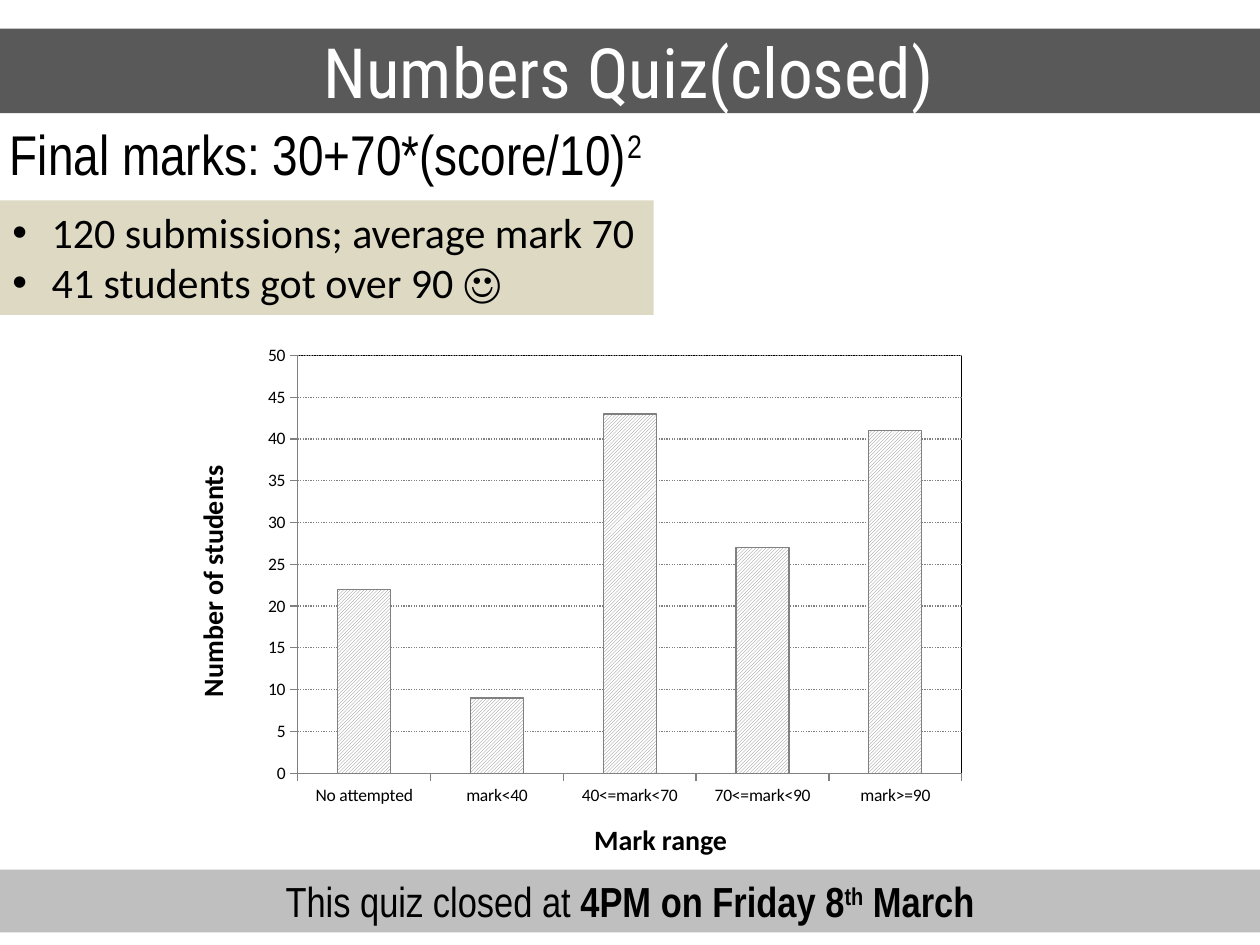
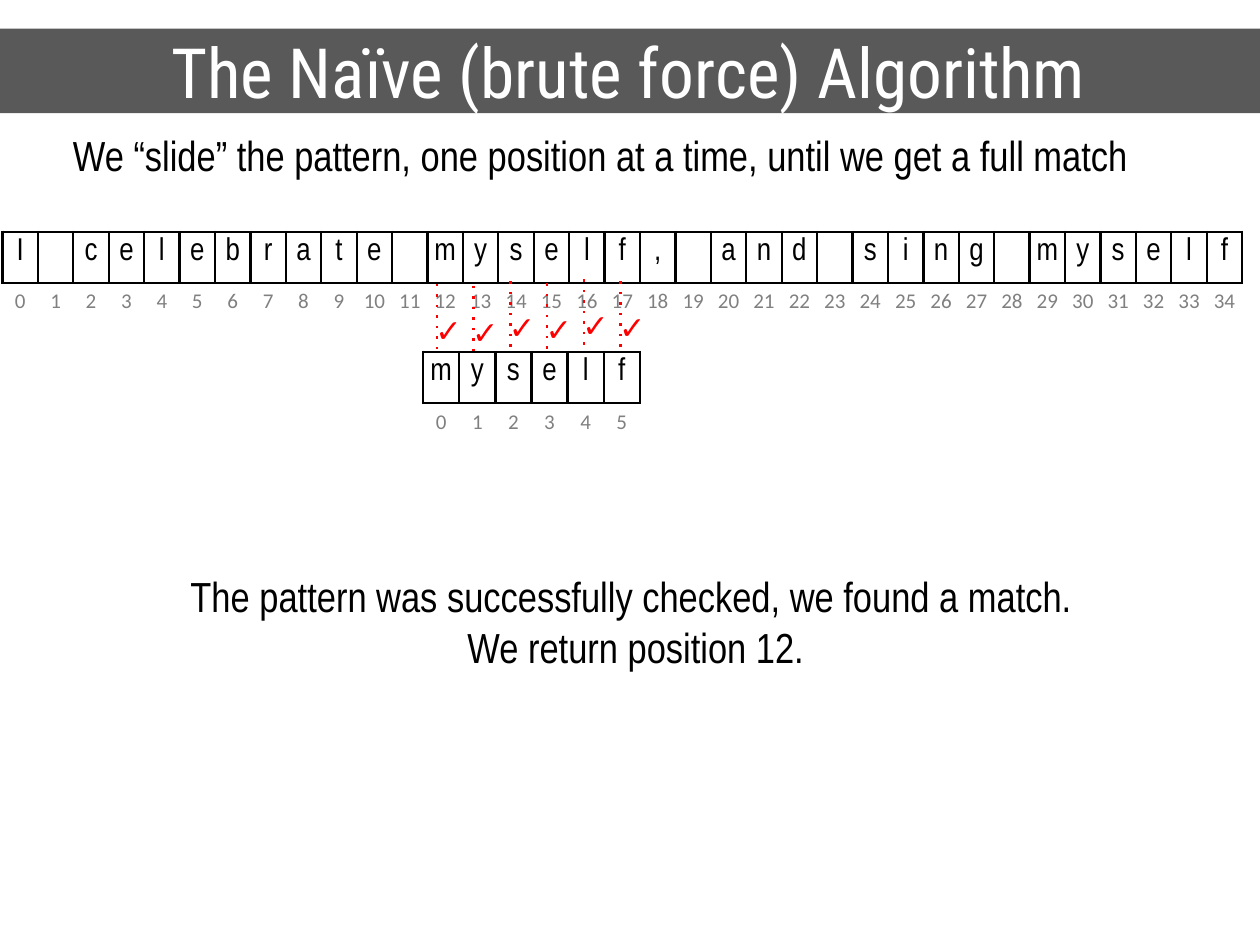
from lxml import etree
from pptx import Presentation
from pptx import util as u
from pptx.chart import data as chart_data
from pptx.dml.color import RGBColor
from pptx.enum import chart as charts, dml, shapes, text
from pptx.oxml import ns

COLOURS = {
    "title band": "595959",
    "facts": "DDD9C3",
    "footer": "BFBFBF",
    "ink": "000000",
    "paper": "FFFFFF",
    "muted": "808080",
    "match": "FF0000",
}
HEADING, NARROW, BODY, SYMBOL = "Roboto Condensed", "Arial Narrow", "Calibri", "Arial"
SLIDE_WIDTH, SLIDE_HEIGHT = 25.4, 19.05
CENTER, LEFT = text.PP_ALIGN.CENTER, text.PP_ALIGN.LEFT


def rgb(name):
    return RGBColor.from_string(COLOURS[name])


def add_xml(parent, tag, **attributes):
    return etree.SubElement(parent, ns.qn(tag), attributes)


class Deck:
    """Holds the style and the current slide; lengths are centimetres."""

    def __init__(self):
        self.prs = Presentation()
        self.prs.slide_width = u.Cm(SLIDE_WIDTH)
        self.prs.slide_height = u.Cm(SLIDE_HEIGHT)
        self.slide = None

    def new_slide(self, title):
        self.slide = self.prs.slides.add_slide(self.prs.slide_layouts[6])
        self.band(-0.05, 0.58, SLIDE_WIDTH + 0.05, 1.7, "title band", [[title]], 39.6,
                  HEADING, "paper", CENTER, anchor=text.MSO_ANCHOR.MIDDLE)

    def style(self, font, size, face, colour, bold=False):
        font.size, font.name, font.bold = u.Pt(size), face, bold
        font.color.rgb = rgb(colour)

    def add_text(self, frame, paragraphs, size, face, colour="ink", align=LEFT,
                 wrap=True, bold=False, bullet=None, anchor=text.MSO_ANCHOR.TOP):
        """Each paragraph lists runs: a string, or (string, bold, superscript)."""
        frame.word_wrap = wrap
        frame.vertical_anchor = anchor
        for index, runs in enumerate(paragraphs):
            paragraph = frame.paragraphs[0] if index == 0 else frame.add_paragraph()
            paragraph.alignment = align
            if bullet:
                properties = paragraph._p.get_or_add_pPr()
                properties.set("marL", str(u.Cm(0.79)))
                properties.set("indent", str(-u.Cm(0.79)))
                add_xml(properties, "a:buFont", typeface=SYMBOL)
                add_xml(properties, "a:buChar", char=bullet)
            for part in runs:
                words, strong, raised = (part, bold, False) if isinstance(part, str) else part
                run = paragraph.add_run()
                run.text = words
                self.style(run.font, size, face, colour, strong)
                if raised:
                    run.font._element.set("baseline", "30000")

    def band(self, left, top, width, height, fill, *words, **options):
        band = self.slide.shapes.add_shape(
            shapes.MSO_SHAPE.RECTANGLE, u.Cm(left), u.Cm(top), u.Cm(width), u.Cm(height))
        band.shadow.inherit = False
        band.fill.solid()
        band.fill.fore_color.rgb = rgb(fill)
        band.line.fill.background()
        self.add_text(band.text_frame, *words, **options)

    def label(self, left, top, width, height, *words, rotation=0, **options):
        label = self.slide.shapes.add_textbox(
            u.Cm(left), u.Cm(top), u.Cm(width), u.Cm(height))
        label.rotation = rotation
        self.add_text(label.text_frame, *words, **options)

    def dotted_line(self, x, top, bottom):
        connector = self.slide.shapes.add_connector(
            shapes.MSO_CONNECTOR.STRAIGHT, u.Cm(x), u.Cm(top), u.Cm(x), u.Cm(bottom))
        connector.line.color.rgb = rgb("match")
        connector.line.width = u.Pt(1.5)
        properties = connector._element.spPr
        add_xml(properties.find(ns.qn("a:ln")), "a:prstDash", val="dot")
        add_xml(properties, "a:effectLst")

    def cell_borders(self, cell, drawn):
        """Draw the sides named in drawn (of L, R, T, B) and hide the others."""
        properties = cell._tc.get_or_add_tcPr()
        for position, side in enumerate("LRTB"):
            line = etree.Element(ns.qn(f"a:ln{side}"), w=str(u.Pt(1.5)))
            if side in drawn:
                fill = add_xml(line, "a:solidFill")
                add_xml(fill, "a:srgbClr", val=COLOURS["ink"])
            else:
                add_xml(line, "a:noFill")
            properties.insert(position, line)

    def indexed_letters(self, left, top, width, letters):
        """Boxed letters with their positions numbered underneath."""
        row_height = u.Cm(1.03)
        table = self.slide.shapes.add_table(
            2, len(letters), u.Cm(left), u.Cm(top), u.Cm(width), 2 * row_height).table
        table.first_row = table.horz_banding = False
        for row in table.rows:
            row.height = row_height
        for index, letter in enumerate(letters):
            table.columns[index].width = u.Cm(width / len(letters))
            rows = ((letter.strip(), 18, NARROW, "ink", "LRTB"),
                    (str(index), 12, BODY, "muted", "T"))
            for row, (words, size, face, colour, sides) in enumerate(rows):
                cell = table.cell(row, index)
                cell.margin_left = cell.margin_right = u.Cm(0.1)
                cell.fill.background()
                self.cell_borders(cell, sides)
                if words:
                    self.add_text(cell.text_frame, [[words]], size, face, colour, CENTER)

    def column_chart(self, left, top, width, height, categories, values):
        data = chart_data.CategoryChartData()
        data.categories = categories
        data.add_series("Series 1", values)
        chart = self.slide.shapes.add_chart(
            charts.XL_CHART_TYPE.COLUMN_CLUSTERED, u.Cm(left), u.Cm(top),
            u.Cm(width), u.Cm(height), data).chart
        chart.has_legend = chart.has_title = False
        self.style(chart.font, 10, BODY, "ink")

        plot = chart.plots[0]
        plot.gap_width = 150
        plot.vary_by_categories = False
        columns = plot.series[0].format
        columns.fill.patterned()
        columns.fill.pattern = dml.MSO_PATTERN.LIGHT_UPWARD_DIAGONAL
        columns.fill.fore_color.rgb = rgb("muted")
        columns.fill.back_color.rgb = rgb("paper")

        marks = chart.value_axis
        marks.minimum_scale, marks.maximum_scale, marks.major_unit = 0, 50, 5
        marks.has_major_gridlines = True
        grid = marks.major_gridlines.format.line
        for line in (columns.line, grid, marks.format.line, chart.category_axis.format.line):
            line.color.rgb = rgb("muted")
            line.width = u.Pt(0.75)
        grid.dash_style = dml.MSO_LINE.ROUND_DOT
        for axis in (marks, chart.category_axis):
            axis.major_tick_mark = charts.XL_TICK_MARK.OUTSIDE
        self.frame_plot(chart)

    def frame_plot(self, chart):
        """Fix the inner plot area and outline it."""
        area = chart._chartSpace.chart.plotArea
        for layout in area.findall(ns.qn("c:layout")):
            area.remove(layout)
        layout = etree.Element(ns.qn("c:layout"))
        area.insert(0, layout)
        manual = add_xml(layout, "c:manualLayout")
        for tag, value in (("layoutTarget", "inner"), ("xMode", "edge"), ("yMode", "edge"),
                           ("x", "0.06"), ("y", "0.04"), ("w", "0.92"), ("h", "0.87")):
            add_xml(manual, f"c:{tag}", val=value)
        properties = add_xml(area, "c:spPr")
        add_xml(properties, "a:noFill")
        outline = add_xml(properties, "a:ln", w=str(u.Pt(0.75)))
        add_xml(add_xml(outline, "a:solidFill"), "a:srgbClr", val=COLOURS["ink"])


def quiz_results(deck):
    deck.new_slide("Numbers Quiz(closed)")
    deck.band(0, 4.04, 13.18, 2.31, "facts",
              [["120 submissions; average mark 70"], ["41 students got over 90 ☺"]],
              24, BODY, wrap=False, bullet="•")
    deck.band(0, 17.53, SLIDE_WIDTH, 1.27, "footer",
              [["This quiz closed at ", ("4PM on Friday 8", True, False),
                ("th", True, True), (" March", True, False)]],
              24, NARROW, align=CENTER)
    deck.label(1.65, 11.2, 5.26, 0.94, [["Number of students"]], 16, BODY,
               rotation=270, wrap=False, bold=True)
    deck.label(11.73, 16.46, 3.25, 0.94, [["Mark range"]], 16, BODY, wrap=False, bold=True)
    deck.label(-0.05, 2.29, 13.41, 1.62,
               [["Final marks: 30+70*(score/10)", ("2", False, True)]],
               32, NARROW, wrap=False)
    deck.column_chart(5.13, 6.78, 14.55, 9.68,
                      ["No attempted", "mark<40", "40<=mark<70", "70<=mark<90", "mark>=90"],
                      [22, 9, 43, 27, 41])


def naive_matching(deck):
    deck.new_slide("The Naïve (brute force) Algorithm")
    deck.indexed_letters(0.05, 4.67, 25, "I celebrate myself, and sing myself")
    deck.indexed_letters(8.53, 7.09, 4.37, "myself")
    deck.label(1.22, 2.49, 21.97, 1.27,
               [["We “slide” the pattern, one position at a time, until we get a full match"]],
               24, NARROW, wrap=False)
    for index, top in enumerate((5.72, 5.76, 5.67, 5.71, 5.63, 5.67)):
        x = 8.81 + 0.74 * index
        deck.label(x - 0.28, top + 0.42, 1.02, 1.02, [["✓"]], 18, SYMBOL, "match", wrap=False)
        deck.dotted_line(x, top, top + 1.36)
    deck.label(0.56, 11.38, 24.51, 2.31,
               [["The pattern was successfully checked, we found a match. "],
                ["We return position 12."]],
               24, NARROW, align=CENTER)


def main():
    deck = Deck()
    quiz_results(deck)
    naive_matching(deck)
    deck.prs.save("out.pptx")


if __name__ == "__main__":
    main()
